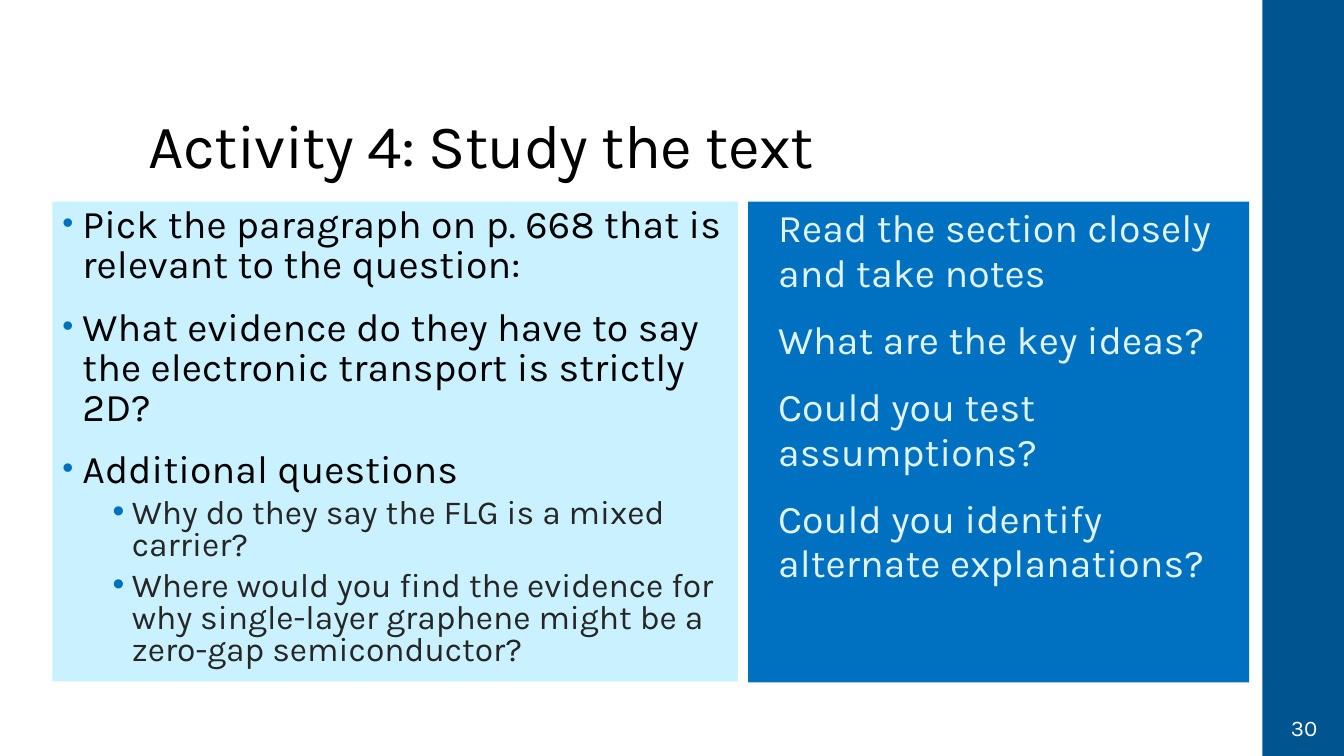
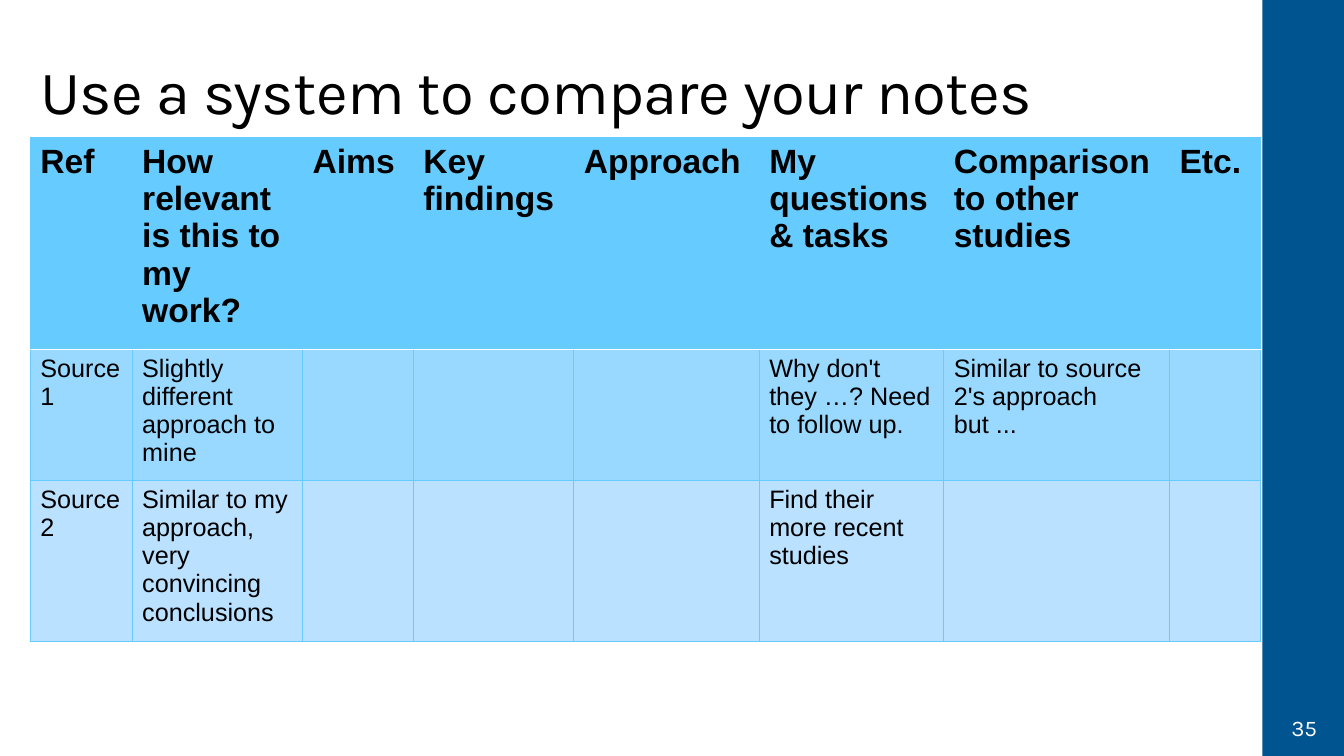
from lxml import etree
from pptx import Presentation, util as u
from pptx.dml.color import RGBColor
from pptx.enum import shapes, text
from pptx.oxml import ns

NAVY, BLUE, SKY, PALE = "005490", "0070C0", "66CCFF", "C9F1FF"
BLACK, WHITE = "000000", "FFFFFF"

# Formats for the kinds of paragraph
TITLE = dict(size=44, line=0.9, track=-50)
POINT = dict(size=28, line=0.85, before=14, after=2, track=10,
             indent=(0.2, -0.2), bullet=80)
SUBPOINT = dict(size=24, color="262626", line=0.8, before=3, after=3, level=1,
                indent=(0.69, -0.19), bullet=100)
PROMPT = dict(size=28, color="E0F4FF", line=0.95, before=14, after=2, track=10,
              indent=(0.2, 0))
PAGE = dict(size=16, color=WHITE, align=text.PP_ALIGN.CENTER)
HEADING = dict(size=24, font="Arial", bold=True)
NOTE = dict(size=18, font="Arial")


def rgb(code):
    return RGBColor.from_string(code)


def node(parent, tag, **attributes):
    return etree.SubElement(parent, ns.qn(tag), **attributes)


def write(frame, words, size, font="Karla", color=BLACK, bold=False, line=None,
          before=0, after=0, track=0, level=0, indent=None, bullet=None,
          align=text.PP_ALIGN.LEFT):
    """Add one paragraph; the first in a frame gets no space before."""
    first = not frame.text
    paragraph = frame.paragraphs[0] if first else frame.add_paragraph()
    paragraph.alignment, paragraph.level = align, level
    paragraph.space_before = u.Pt(0 if first else before)
    paragraph.space_after = u.Pt(after)
    if line:
        paragraph.line_spacing = line
    props = paragraph._p.get_or_add_pPr()
    if indent:
        props.set("marL", str(u.Inches(indent[0])))
        props.set("indent", str(u.Inches(indent[1])))
    if bullet:
        node(node(props, "a:buClr"), "a:srgbClr", val=BLUE)
        node(props, "a:buSzPct", val=str(bullet * 1000))
        node(props, "a:buFont", typeface="Arial")
        node(props, "a:buChar", char="•")
    run = paragraph.add_run()
    run.text = words
    run.font.size, run.font.name, run.font.bold = u.Pt(size), font, bold
    run.font.color.rgb = rgb(color)
    if track:
        run.font._element.set("spc", str(track))


def set_borders(cell, colors):
    """Draw the left, right, top and bottom edges, given as (colour, width)."""
    props = cell._tc.get_or_add_tcPr()
    for place, (side, (color, width)) in enumerate(zip("LRTB", colors)):
        edge = etree.Element(ns.qn(f"a:ln{side}"), w=str(u.Pt(width)))
        node(node(edge, "a:solidFill"), "a:srgbClr", val=color)
        props.insert(place, edge)


class Deck:
    """The shared style and the current slide; lengths are percent of the slide."""

    def __init__(self):
        self.show = Presentation()
        self.show.slide_width, self.show.slide_height = u.Inches(13.33), u.Inches(7.5)
        self.slide = None

    def across(self, share):
        return round(self.show.slide_width * share / 100)

    def down(self, share):
        return round(self.show.slide_height * share / 100)

    def area(self, left, top, width, height):
        return self.across(left), self.down(top), self.across(width), self.down(height)

    def new_slide(self, title, title_area, number):
        self.slide = self.show.slides.add_slide(self.show.slide_layouts[6])
        self.panel((93.92, 0, 6.08, 100), NAVY)
        self.label(title, title_area, text.MSO_ANCHOR.BOTTOM, **TITLE)
        self.label(number, (94.9, 93.87, 4.28, 4.4), **PAGE)

    def label(self, words, area, anchor=text.MSO_ANCHOR.TOP, **style):
        frame = self.slide.shapes.add_textbox(*self.area(*area)).text_frame
        frame.word_wrap, frame.vertical_anchor = True, anchor
        write(frame, words, **style)

    def panel(self, area, fill, paragraphs=()):
        box = self.slide.shapes.add_shape(shapes.MSO_SHAPE.RECTANGLE, *self.area(*area))
        box.shadow.inherit = False
        box.fill.solid()
        box.fill.fore_color.rgb = rgb(fill)
        box.line.fill.background()
        box.text_frame.word_wrap = True
        box.text_frame.vertical_anchor = text.MSO_ANCHOR.TOP
        for words, style in paragraphs:
            write(box.text_frame, words, **style)

    def table(self, left, top, widths, heights, rows, fills):
        area = self.area(left, top, sum(widths), sum(heights))
        grid = self.slide.shapes.add_table(len(rows), len(widths), *area).table
        grid.horz_banding = False
        for column, width in zip(grid.columns, widths):
            column.width = self.across(width)
        thin, divider = (SKY, 0.75), (WHITE, 1.1)
        for r, (row, height) in enumerate(zip(rows, heights)):
            grid.rows[r].height = self.down(height)
            for c, words in enumerate(row):
                cell = grid.cell(r, c)
                cell.fill.solid()
                cell.fill.fore_color.rgb = rgb(fills[r])
                set_borders(cell, (thin, thin, divider if r == 1 else thin,
                                   divider if r == 0 else thin))
                if words:
                    write(cell.text_frame, words, **(NOTE if r else HEADING))


def main():
    deck = Deck()

    # Reading activity: task on the left, prompts on the right
    deck.new_slide("Activity 4: Study the text", (10.35, 5.33, 79.52, 19.33), "30")
    deck.panel((3.9, 26.67, 51.01, 63.47), PALE, [
        ("Pick the paragraph on p. 668 that is relevant to the question:", POINT),
        ("What evidence do they have to say the electronic transport is strictly 2D?",
         POINT),
        ("Additional questions", POINT),
        ("Why do they say the FLG is a mixed carrier?", SUBPOINT),
        ("Where would you find the evidence for why single-layer graphene "
         "might be a zero-gap semiconductor?", SUBPOINT),
    ])
    prompts = ["Read the section closely and take notes", "What are the key ideas?",
               "Could you test assumptions?", "Could you identify alternate explanations?"]
    deck.panel((55.66, 26.67, 37.28, 63.6), BLUE, [(p, PROMPT) for p in prompts])

    # Table for comparing notes
    deck.new_slide("Use a system to compare your notes", (2.25, 5.33, 89.8, 12.27), "35")
    comparison = [
        ["Ref", "How relevant is this to my work?", "Aims", "Key findings", "Approach",
         "My questions & tasks", "Comparison to other studies", "Etc."],
        ["Source 1", "Slightly different approach to mine", "", "", "",
         "Why don't they …? Need to follow up.",
         "Similar to source 2's approach but ...", ""],
        ["Source 2", "Similar to my approach, very convincing conclusions", "", "", "",
         "Find their more recent studies", "", ""],
    ]
    deck.table(2.25, 18.2, [7.58, 12.68, 8.25, 11.93, 13.8, 13.73, 16.8, 6.8],
               [26.93, 16.27, 20.13], comparison, [SKY, "99D9FF", "BAE1FF"])

    deck.show.save("out.pptx")


if __name__ == "__main__":
    main()
